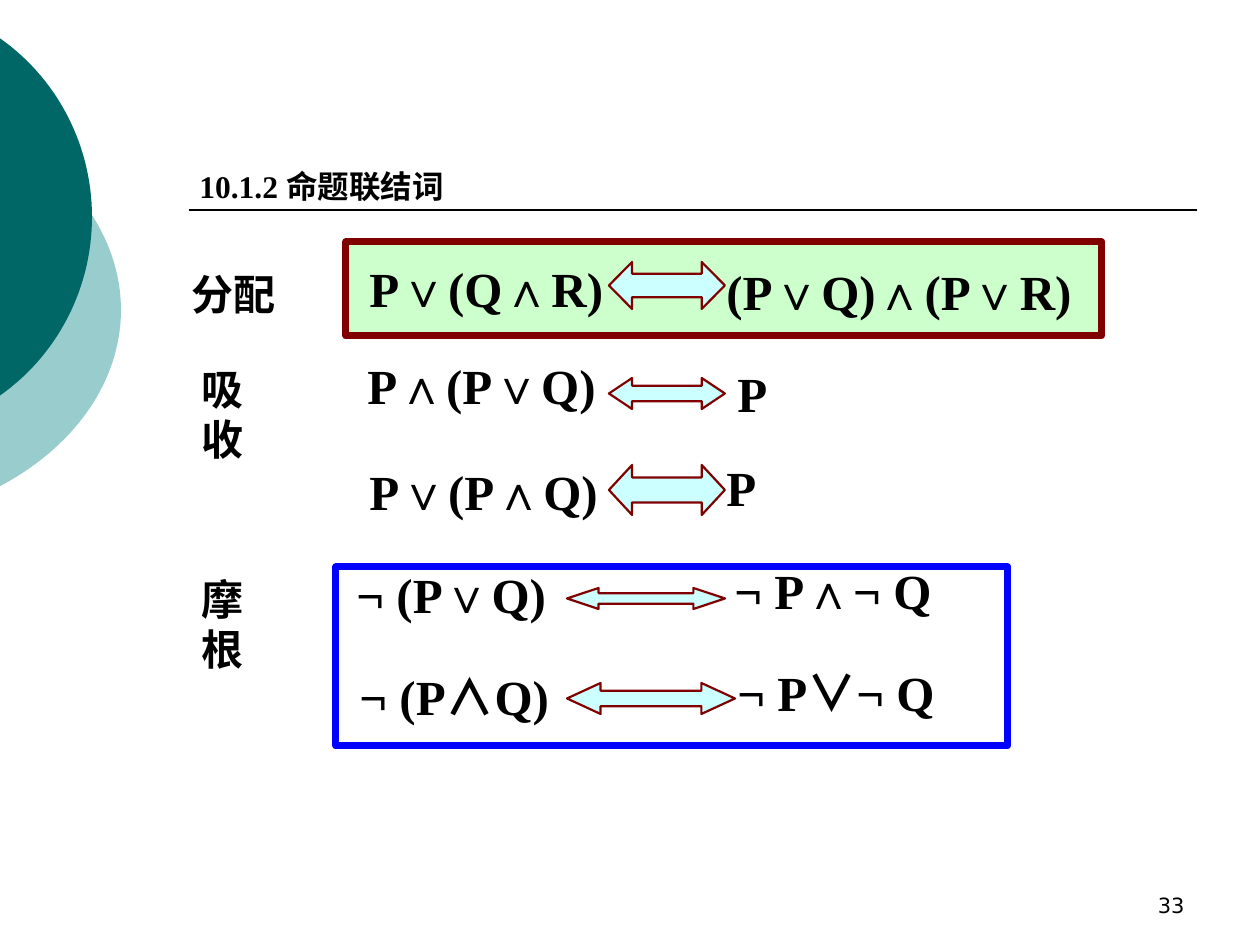
import math
from lxml import etree
from pptx import Presentation, util as u
from pptx.dml.color import RGBColor
from pptx.enum import shapes, text
from pptx.oxml.ns import qn

PX = 914400 // 126
BLACK = RGBColor(0, 0, 0)
TEAL = RGBColor(0x00, 0x66, 0x66)
PALE_TEAL = RGBColor(0x99, 0xCC, 0xCC)
GREEN = RGBColor(0xCC, 0xFF, 0xCC)
CYAN = RGBColor(0xCC, 0xFF, 0xFF)
MAROON = RGBColor(0x80, 0, 0)
BLUE = RGBColor(0, 0, 0xFF)
SERIF, SANS, CJK = "Times New Roman", "DejaVu Sans", "Noto Sans CJK SC"

# centre x, centre y, horizontal radius, vertical radius, colour
DISCS = [(-162, 310, 283, 215, PALE_TEAL), (-121, 217, 213, 217, TEAL)]
HEADING = [("10.1.2 ", SERIF), ("命题联结词", CJK)]
# left, top, width, wraps, text
LABELS = [
    (179, 262, 199, True, "分配"),
    (189, 357, 108, False, "吸收"),
    (189, 567, 108, False, "摩根"),
]
# left, top, width, wraps, runs
FORMULAS = [
    (357, 252, 294, True, [("P∨(Q∧R)", SERIF)]),
    (714, 255, 485, True, [("(P∨Q)∧(P∨R)", SERIF)]),
    (355, 349, 255, False, [("P∧(P∨Q)", SERIF)]),
    (725, 357, 55, False, [("P", SERIF)]),
    (357, 455, 255, False, [("P∨(P∧Q)", SERIF)]),
    (714, 451, 55, False, [("P", SERIF)]),
    (344, 558, 222, False, [("¬ (P∨Q)", SERIF)]),
    (722, 554, 306, True, [("¬ P∧¬ Q", SERIF)]),
    (347, 660, 222, False, [("¬ (P", SERIF), ("∧", CJK), ("Q)", SERIF)]),
    (725, 656, 357, True, [("¬ P", SERIF), ("∨", CJK), ("¬ Q", SERIF)]),
]
# left, top, width, height
ARROWS = [
    (609, 262, 116, 47),
    (609, 378, 116, 31),
    (609, 465, 116, 50),
    (567, 588, 158, 21),
    (567, 683, 168, 31),
]

deck = Presentation()
deck.slide_width, deck.slide_height = 1260 * PX, 945 * PX
page = deck.slides.add_slide(deck.slide_layouts[6])


def add_disc(cx, cy, rx, ry, colour):
    """Draw the part of an ellipse that lies right of the slide's left edge."""
    half, steps = math.acos(-cx / rx), 60
    angles = [half * (2 * i / steps - 1) for i in range(steps + 1)]
    points = [(round((cx + rx * math.cos(a)) * PX), round((cy + ry * math.sin(a)) * PX))
              for a in angles]
    builder = page.shapes.build_freeform(*points[0])
    builder.add_line_segments(points[1:], close=True)
    disc = builder.convert_to_shape()
    disc.shadow.inherit = False
    disc.fill.solid()
    disc.fill.fore_color.rgb = colour
    disc.line.fill.background()


def add_outlined(kind, area, fill, colour, weight):
    shape = page.shapes.add_shape(kind, *(n * PX for n in area))
    shape.shadow.inherit = False
    if fill is None:
        shape.fill.background()
    else:
        shape.fill.solid()
        shape.fill.fore_color.rgb = fill
    shape.line.color.rgb = colour
    shape.line.width = u.Pt(weight)
    return shape


def add_text(area, runs, size, wraps=True, bold=True):
    box = page.shapes.add_textbox(*(n * PX for n in area))
    box.text_frame.word_wrap = wraps
    para = box.text_frame.paragraphs[0]
    para.font.size, para.font.bold = u.Pt(size), bold
    para.font.color.rgb = BLACK
    for words, face in runs:
        span = para.add_run()
        span.text = words
        span.font.name = face
        east_asian = etree.SubElement(span.font._element, qn("a:ea"))
        east_asian.set("typeface", face)
    return box


for disc_data in DISCS:
    add_disc(*disc_data)

rule = page.shapes.add_connector(shapes.MSO_CONNECTOR.STRAIGHT,
                                 189 * PX, 210 * PX, 1197 * PX, 210 * PX)
rule.line.color.rgb = BLACK
rule.line.width = u.Pt(1)
etree.SubElement(rule._element.spPr, qn("a:effectLst"))

RECTANGLE = shapes.MSO_SHAPE.RECTANGLE
add_outlined(RECTANGLE, (346, 242, 756, 94), GREEN, MAROON, 4)
add_text((187, 161, 349, 50), HEADING, 18)
for left, top, width, wraps, label in LABELS:
    add_text((left, top, width, 63), [(label, SANS)], 24, wraps)
for left, top, width, wraps, runs in FORMULAS:
    add_text((left, top, width, 72), runs, 28, wraps)
for area in ARROWS:
    arrow = add_outlined(shapes.MSO_SHAPE.LEFT_RIGHT_ARROW, area, CYAN, MAROON, 1.25)
    arrow.adjustments[0] = 0.5
    arrow.adjustments[1] = area[2] / 5 / area[3]  # each head is a fifth of the width
add_outlined(RECTANGLE, (336, 567, 672, 179), None, BLUE, 4)

number = add_text((903, 861, 294, 63), [("33", SANS)], 12, bold=False)
number.text_frame.vertical_anchor = text.MSO_ANCHOR.BOTTOM
number.text_frame.paragraphs[0].alignment = text.PP_ALIGN.RIGHT

deck.save("out.pptx")
